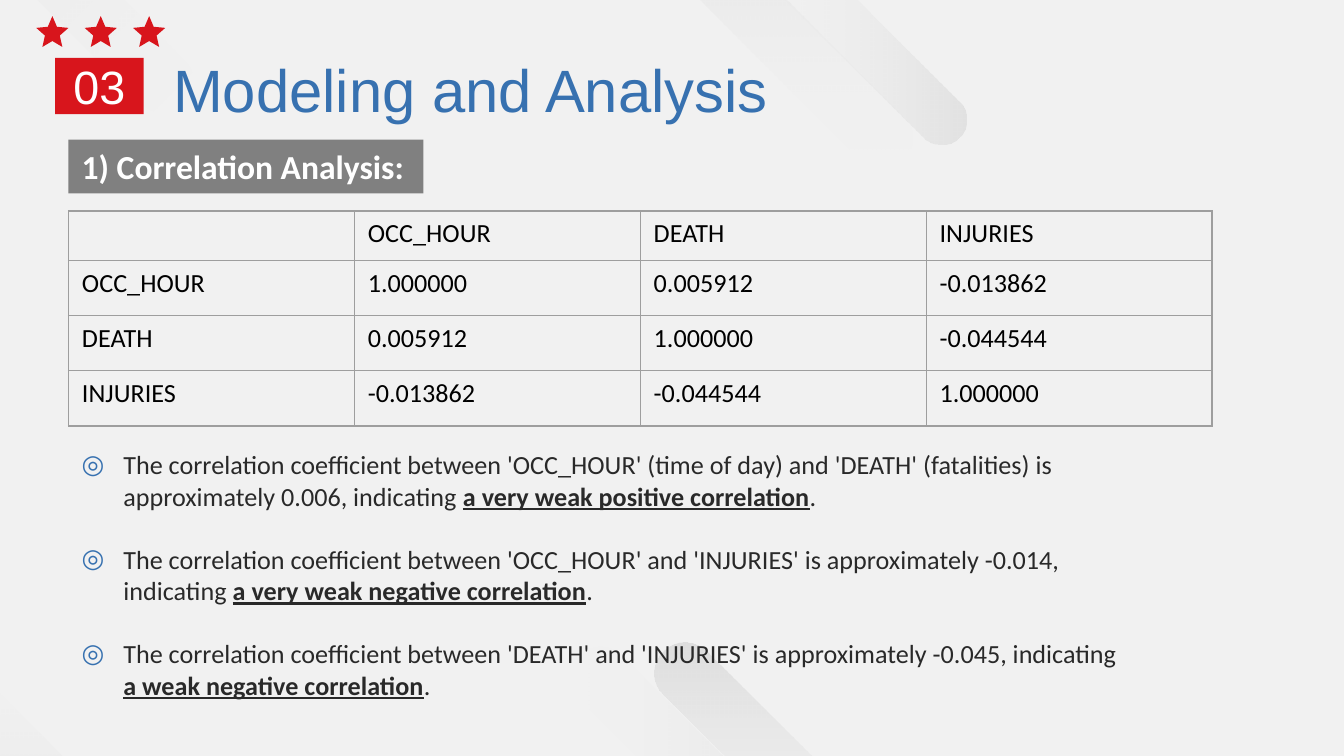
from dataclasses import dataclass
from math import cos, radians, sin

from lxml import etree
from pptx import Presentation
from pptx.dml.color import RGBColor
from pptx.enum.shapes import MSO_SHAPE
from pptx.enum.text import MSO_ANCHOR, PP_ALIGN
from pptx.oxml.ns import qn
from pptx.util import Inches, Pt

RECTANGLE, STAR = MSO_SHAPE.RECTANGLE, MSO_SHAPE.STAR_5_POINT
TOP, MIDDLE = MSO_ANCHOR.TOP, MSO_ANCHOR.MIDDLE
LEFT, CENTER = PP_ALIGN.LEFT, PP_ALIGN.CENTER


@dataclass(frozen=True)
class Theme:
    background: str = "F1F1F1"
    red: str = "D8151C"
    gray: str = "808080"
    blue: str = "3771B0"
    border: str = "9E9E9E"
    dark: str = "292929"
    black: str = "000000"
    white: str = "FFFFFF"
    heading_font: str = "Arial"
    body_font: str = "Calibri"
    title_size: int = 32
    number_size: int = 25
    label_size: int = 18
    body_size: int = 14


theme = Theme()


def write_text(paragraph, text, *, size=theme.body_size, font=theme.body_font,
               color=theme.dark, bold=False, underline=False, align=LEFT):
    run = paragraph.add_run()
    run.text = text
    run.font.size = Pt(size)
    run.font.name = font
    run.font.color.rgb = RGBColor.from_string(color)
    run.font.bold = bold
    run.font.underline = underline
    paragraph.alignment = align


def add_solid(shapes, preset, box, color):
    """Add a preset shape with a plain fill, no line and no shadow."""
    shape = shapes.add_shape(preset, *map(Inches, box))
    shape.shadow.inherit = False
    shape.fill.solid()
    shape.fill.fore_color.rgb = RGBColor.from_string(color)
    shape.line.fill.background()
    return shape


presentation = Presentation()
presentation.slide_width = Inches(10)
presentation.slide_height = Inches(10) * 9 // 16
slide = presentation.slides.add_slide(presentation.slide_layouts[6])
shapes = slide.shapes
slide.background.fill.solid()
slide.background.fill.fore_color.rgb = RGBColor.from_string(theme.background)

# Diagonal bars: first end's centre, run, radius, direction of the fade, opacity
bars = [
    (5.68, -0.43, 1.32, 0.19, 0, 8),
    (-0.43, 5.00, 1.32, 0.19, 270, 8),
    (-0.44, -1.04, 1.65, 0.23, 135, 8),
    (5.10, 5.01, 1.65, 0.23, 90, 10),
    (4.47, 5.04, 1.65, 0.23, 0, 10),
    (4.91, -0.62, 1.65, 0.23, 90, 8),
]
for x, y, length, radius, angle, opacity in bars:
    points = []
    for start, offset in ((135, 0), (-45, length)):
        for step in range(0, 181, 10):
            turn = radians(start + step)
            points.append((Inches(x + offset + radius * cos(turn)),
                           Inches(y + offset + radius * sin(turn))))
    builder = shapes.build_freeform(*points[0])
    builder.add_line_segments(points[1:], close=True)
    bar = builder.convert_to_shape()
    bar.shadow.inherit = False
    bar.line.fill.background()
    bar.fill.gradient()
    bar.fill.gradient_angle = angle
    for stop, color in zip(bar.fill.gradient_stops, (theme.white, theme.dark)):
        stop.color.rgb = RGBColor.from_string(color)
    colors = bar._element.spPr.findall(".//" + qn("a:srgbClr"))
    for element, alpha in zip(colors, (0, opacity)):
        etree.SubElement(element, qn("a:alpha"), val=str(alpha * 1000))

# Section number, stars and title
number = add_solid(shapes, RECTANGLE, (0.41, 0.43, 0.66, 0.42), theme.red)
number.text_frame.vertical_anchor = MIDDLE
write_text(number.text_frame.paragraphs[0], "03", size=theme.number_size,
           font=theme.heading_font, color=theme.white, align=CENTER)

for index in range(3):
    star = add_solid(shapes, STAR, (0.27 + 0.36 * index, 0.12, 0.24, 0.23), theme.red)
    star.adjustments[0] = 0.23

title = shapes.add_textbox(Inches(1.19), Inches(0.29), Inches(6.87), Inches(0.74))
title.text_frame.word_wrap = True
title.text_frame.vertical_anchor = MIDDLE
write_text(title.text_frame.paragraphs[0], "Modeling and Analysis",
           size=theme.title_size, font=theme.heading_font, color=theme.blue)

label = add_solid(shapes, RECTANGLE, (0.51, 1.04, 2.64, 0.4), theme.gray)
label.text_frame.vertical_anchor = TOP
write_text(label.text_frame.paragraphs[0], "1) Correlation Analysis:",
           size=theme.label_size, color=theme.white, bold=True)

# Correlation matrix
rows = [
    ("", "OCC_HOUR", "DEATH", "INJURIES"),
    ("OCC_HOUR", "1.000000", "0.005912", "-0.013862"),
    ("DEATH", "0.005912", "1.000000", "-0.044544"),
    ("INJURIES", "-0.013862", "-0.044544", "1.000000"),
]
table = shapes.add_table(4, 4, Inches(0.51), Inches(1.57), Inches(8.51), Inches(1.6)).table
table.first_row = table.horz_banding = False
for row_index, values in enumerate(rows):
    table.rows[row_index].height = Inches(0.41 if row_index else 0.37)
    for column_index, value in enumerate(values):
        cell = table.cell(row_index, column_index)
        paragraph = cell.text_frame.paragraphs[0]
        if value:
            write_text(paragraph, value, color=theme.black)
        else:
            etree.SubElement(paragraph._p, qn("a:endParaRPr"), sz=str(theme.body_size * 100))
        properties = cell._tc.get_or_add_tcPr()
        for side in ("lnL", "lnR", "lnT", "lnB"):
            line = etree.SubElement(properties, qn("a:" + side), w=str(Pt(0.75)))
            fill = etree.SubElement(line, qn("a:solidFill"))
            etree.SubElement(fill, qn("a:srgbClr"), val=theme.border)
        cell.fill.background()

# Findings
findings = [
    ("The correlation coefficient between 'OCC_HOUR' (time of day) and 'DEATH' (fatalities) "
     "is approximately 0.006, indicating ", "a very weak positive correlation"),
    ("The correlation coefficient between 'OCC_HOUR' and 'INJURIES' is approximately -0.014, "
     "indicating ", "a very weak negative correlation"),
    ("The correlation coefficient between 'DEATH' and 'INJURIES' is approximately -0.045, "
     "indicating ", "a weak negative correlation"),
]
findings_box = shapes.add_textbox(Inches(0.51), Inches(3.29), Inches(8.04), Inches(2.1))
frame = findings_box.text_frame
frame.word_wrap = True
for index, (statement, conclusion) in enumerate(findings):
    paragraph = frame.add_paragraph() if index else frame.paragraphs[0]
    paragraph.space_before = Pt(17 if index else 0)
    write_text(paragraph, statement)
    write_text(paragraph, conclusion, bold=True, underline=True)
    write_text(paragraph, ".")
    properties = paragraph._p.get_or_add_pPr()
    properties.set("marL", str(Inches(0.31)))
    properties.set("indent", str(Inches(-0.31)))
    bullet_color = etree.SubElement(properties, qn("a:buClr"))
    etree.SubElement(bullet_color, qn("a:srgbClr"), val=theme.blue)
    etree.SubElement(properties, qn("a:buFont"), typeface=theme.body_font)
    etree.SubElement(properties, qn("a:buChar"), char="◎")

presentation.save("out.pptx")
